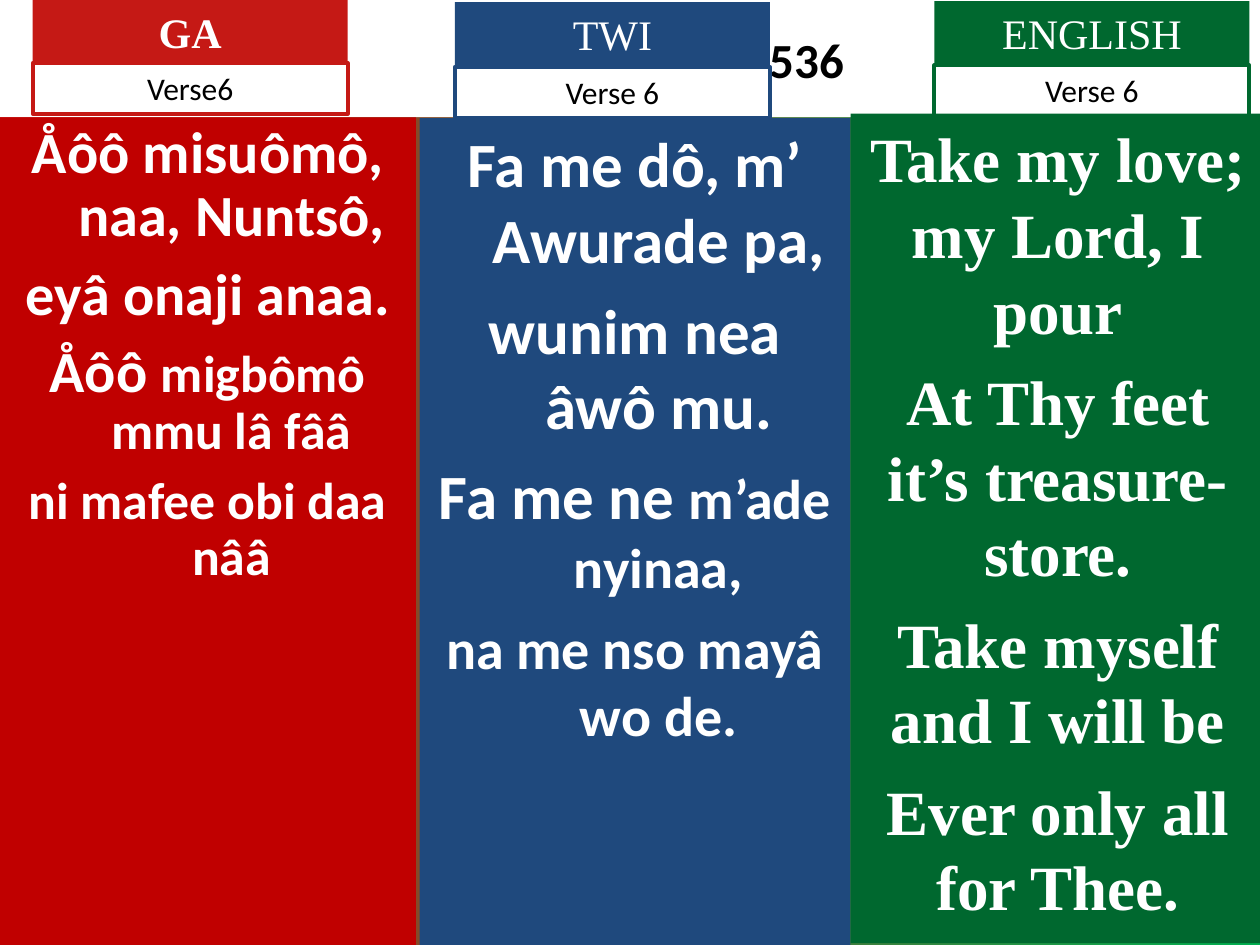
from pptx import Presentation
from pptx.dml.color import RGBColor
from pptx.enum.shapes import MSO_SHAPE
from pptx.enum.text import MSO_ANCHOR, MSO_AUTO_SIZE, PP_ALIGN
from pptx.oxml.ns import qn
from pptx.util import Pt

RECTANGLE = MSO_SHAPE.RECTANGLE
TOP, MIDDLE = MSO_ANCHOR.TOP, MSO_ANCHOR.MIDDLE
CENTER, LEFT = PP_ALIGN.CENTER, PP_ALIGN.LEFT
NO_FIT = MSO_AUTO_SIZE.NONE

SANS, SERIF = "Calibri", "Times New Roman"
WHITE, BLACK = "FFFFFF", "000000"
HYMN_NUMBER = "536"
NUMBER_LEFT = 440
TAG_WIDTH, LANGUAGE_HEIGHT, VERSE_HEIGHT = 180, 36, 29

COLUMNS = [
    {
        "language": "GA", "bold": True, "verse": "Verse6",
        "tag_color": "C51915", "tag_at": (18.72, 0), "verse_top": 36,
        "panel_color": "C00000", "panel": (0, 67, 237.6, 473),
        "font": SANS, "hanging": 27, "line_spacing": 0.9,
        "lines": [
            (9, [("Åôô misuômô, naa, Nuntsô,", 33.3)]),
            (9, [("eyâ onaji anaa.", 33.3)]),
            (8, [("Åôô ", 33.3), ("migbômô mmu lâ fââ", 29.6)]),
            (8, [("ni mafee obi daa nââ", 29.6)]),
        ],
    },
    {
        "language": "TWI", "bold": False, "verse": "Verse 6",
        "tag_color": "1F497D", "tag_at": (260, 1.25), "verse_top": 38.25,
        "panel_color": "1F497D", "panel": (239.75, 67.5, 246.25, 472.5),
        "font": SANS, "hanging": 27, "line_spacing": 1,
        "lines": [
            (9, [("Fa me dô, m’ Awurade pa,", 36)]),
            (9, [("wunim nea âwô mu.", 36)]),
            (8, [("Fa me ne ", 36), ("m’ade nyinaa,", 32)]),
            (8, [("na me nso mayâ wo de.", 32)]),
        ],
    },
    {
        "language": "ENGLISH", "bold": False, "verse": "Verse 6",
        "tag_color": "00682F", "tag_at": (534, 0.75), "verse_top": 37.25,
        "panel_color": "00682F", "panel": (486, 65, 237, 474),
        "font": SERIF, "hanging": 0, "line_spacing": 1,
        "lines": [
            (9, [("Take my love; my Lord, I pour", 36)]),
            (9, [("At Thy feet it’s treasure-store.", 36)]),
            (9, [("Take myself and I will be", 36)]),
            (9, [("Ever only all for Thee.", 36)]),
        ],
    },
]


def paint(target, color):
    target.solid()
    target.fore_color.rgb = RGBColor.from_string(color)


def style(font, name, size, color, bold):
    font.name, font.size, font.bold = name, Pt(size), bold
    font.color.rgb = RGBColor.from_string(color)


def place(box, left, top, width, height):
    box.left, box.top = Pt(left), Pt(top)
    box.width, box.height = Pt(width), Pt(height)


def set_frame(frame, anchor):
    frame.word_wrap = True
    frame.auto_size = NO_FIT
    frame.vertical_anchor = anchor


def add_tag(slide, left, top, height, text, font):
    tag = slide.shapes.add_shape(
        RECTANGLE, Pt(left), Pt(top), Pt(TAG_WIDTH), Pt(height))
    tag.shadow.inherit = False
    frame = tag.text_frame
    set_frame(frame, TOP)
    frame.margin_top = frame.margin_bottom = Pt(3.6)
    frame.text = text
    frame.paragraphs[0].alignment = CENTER
    style(frame.paragraphs[0].runs[0].font, *font)
    return tag


def fill_panel(panel, column):
    place(panel, *column["panel"])
    paint(panel.fill, column["panel_color"])
    frame = panel.text_frame
    set_frame(frame, TOP)
    for index, (space, parts) in enumerate(column["lines"]):
        line = frame.add_paragraph() if index else frame.paragraphs[0]
        properties = line._p.get_or_add_pPr()
        properties.set("marL", str(Pt(column["hanging"])))
        properties.set("indent", str(-Pt(column["hanging"])))
        properties.append(properties.makeelement(qn("a:buNone"), {}))
        line.alignment = CENTER
        line.line_spacing = column["line_spacing"]
        line.space_before = Pt(space if index else 0)
        for text, size in parts:
            run = line.add_run()
            run.text = text
            style(run.font, column["font"], size, WHITE, True)


def add_tags(slide, column):
    left, top = column["tag_at"]
    color = column["tag_color"]
    language = add_tag(slide, left, top, LANGUAGE_HEIGHT, column["language"],
                       (SERIF, 24, WHITE, column["bold"]))
    paint(language.fill, color)
    language.line.fill.background()
    verse = add_tag(slide, left, column["verse_top"], VERSE_HEIGHT,
                    column["verse"], (SANS, 18, BLACK, False))
    verse.fill.background()
    paint(verse.line.fill, color)
    verse.line.width = Pt(2.25)


def main():
    deck = Presentation()
    deck.slide_width, deck.slide_height = Pt(720), Pt(540)
    slide = deck.slides.add_slide(deck.slide_layouts[3])

    backdrop = slide.background.fill
    backdrop.gradient()
    backdrop.gradient_angle = 0
    for stop, color in zip(backdrop.gradient_stops, ("C51915", "00B050")):
        stop.color.rgb = RGBColor.from_string(color)

    title, ga_panel, twi_panel = slide.placeholders
    place(title, 0, 0, 720, 67)
    paint(title.fill, WHITE)
    frame = title.text_frame
    set_frame(frame, MIDDLE)
    frame.margin_left = Pt(NUMBER_LEFT)
    frame.text = HYMN_NUMBER
    frame.paragraphs[0].alignment = LEFT
    style(frame.paragraphs[0].runs[0].font, SANS, 28, BLACK, True)

    ga, twi, english = COLUMNS
    fill_panel(ga_panel, ga)
    fill_panel(twi_panel, twi)
    add_tags(slide, ga)
    add_tags(slide, twi)
    english_panel = slide.shapes.add_textbox(0, 0, 0, 0)
    fill_panel(english_panel, english)
    add_tags(slide, english)

    deck.save("out.pptx")


if __name__ == "__main__":
    main()
